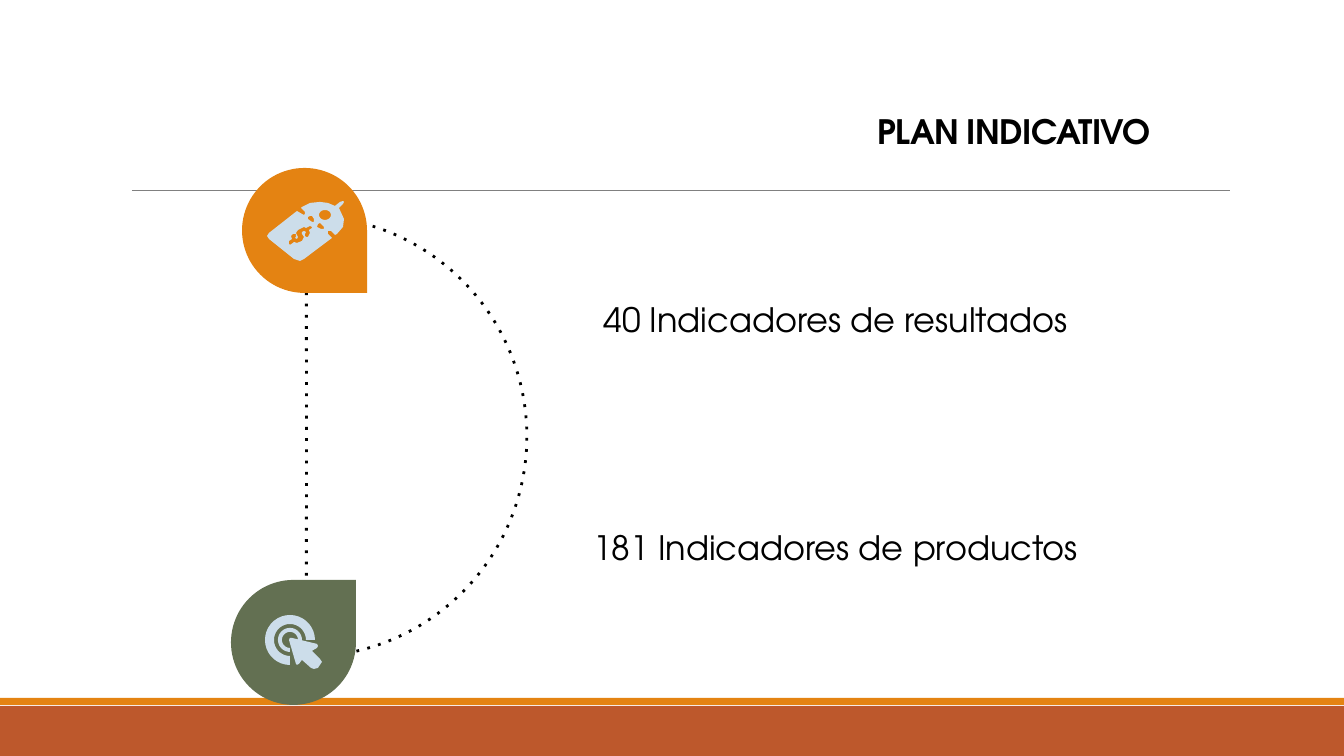
import math
import lxml.etree
import pptx
import pptx.dml.color
import pptx.enum.shapes
import pptx.enum.text
import pptx.oxml.ns
import pptx.util

PX = 914400 * 10 / 1344
BLACK = pptx.dml.color.RGBColor(0x00, 0x00, 0x00)
GRAY = pptx.dml.color.RGBColor(0x80, 0x80, 0x80)
RUST = pptx.dml.color.RGBColor(0xBD, 0x58, 0x2C)
ORANGE = pptx.dml.color.RGBColor(0xE4, 0x83, 0x12)
GREEN = pptx.dml.color.RGBColor(0x63, 0x70, 0x52)
PALE = pptx.dml.color.RGBColor(0xCC, 0xDD, 0xEA)
SHAPE = pptx.enum.shapes.MSO_SHAPE
qn = pptx.oxml.ns.qn

deck = pptx.Presentation()
deck.slide_width = round(1344 * PX)
deck.slide_height = round(756 * PX)
slide = deck.slides.add_slide(deck.slide_layouts[6])


def add_text(text, *, box, bold=False, spacing=None):
    label = slide.shapes.add_textbox(*[round(v * PX) for v in box])
    frame = label.text_frame
    frame.word_wrap = True
    frame.vertical_anchor = pptx.enum.text.MSO_ANCHOR.BOTTOM
    frame.margin_left = frame.margin_right = round(13 * PX)
    frame.margin_top = frame.margin_bottom = round(13 * PX)
    paragraph = frame.paragraphs[0]
    paragraph.alignment = pptx.enum.text.PP_ALIGN.CENTER
    run = paragraph.add_run()
    run.text = text
    run.font.name = "TeX Gyre Adventor"
    run.font.size = pptx.util.Pt(18)
    run.font.bold = bold
    run.font.color.rgb = BLACK
    if spacing is not None:
        run.font._element.set("spc", str(spacing))


def add_icon_part(shapes, contours):
    scaled = [[(x * PX, y * PX) for x, y in contour] for contour in contours]
    builder = shapes.build_freeform(*scaled[0][0], scale=1.0)
    builder.add_line_segments(scaled[0][1:], close=True)
    for contour in scaled[1:]:
        builder.move_to(*contour[0])
        builder.add_line_segments(contour[1:], close=True)
    part = builder.convert_to_shape()
    part.shadow.inherit = False
    part.fill.solid()
    part.fill.fore_color.rgb = PALE
    part.line.fill.background()


for top, height, color in [(706, 50, RUST), (698, 7, ORANGE)]:
    band = slide.shapes.add_shape(SHAPE.RECTANGLE, 0, round(top * PX), deck.slide_width, round(height * PX))
    band.shadow.inherit = False
    band.fill.solid()
    band.fill.fore_color.rgb = color
    band.line.fill.background()

title_rule = slide.shapes.add_connector(
    pptx.enum.shapes.MSO_CONNECTOR.STRAIGHT,
    round(132 * PX), round(191 * PX), round(1230 * PX), round(191 * PX))
title_rule.line.color.rgb = GRAY
title_rule.line.width = pptx.util.Pt(0.5)
lxml.etree.SubElement(title_rule._element.spPr, qn("a:effectLst"))

half_circle = slide.shapes.add_shape(SHAPE.PIE, *[round(v * PX) for v in (86, 216, 441, 441)])
half_circle.adjustments[0] = 162
half_circle.adjustments[1] = 54
half_circle.shadow.inherit = False
half_circle.fill.background()
half_circle.line.color.rgb = BLACK
half_circle.line.width = pptx.util.Pt(1.5)
lxml.etree.SubElement(half_circle.line._get_or_add_ln(), qn("a:prstDash"), val="dot")

for left, top, rotation, color in [(242, 168, 90, ORANGE), (231, 580, 0, GREEN)]:
    drop = slide.shapes.add_shape(SHAPE.TEAR, *[round(v * PX) for v in (left, top, 125, 125)])
    drop.rotation = rotation
    drop.shadow.inherit = False
    drop.fill.solid()
    drop.fill.fore_color.rgb = color
    drop.line.fill.background()

add_text("PLAN INDICATIVO", box=(684, 97, 660, 67), bold=True, spacing=-40)

tag_outline = [
    (320, 202), (310, 203), (302, 207), (301, 208), (305, 212), (305, 214), (304, 215), (302, 214),
    (297, 211), (269, 233), (267, 236), (269, 239), (294, 259), (300, 261), (304, 259), (332, 238),
    (328, 234), (328, 231), (329, 231), (331, 231), (335, 235), (337, 234), (343, 227), (344, 219),
    (339, 208), (343, 204), (344, 202), (343, 201), (340, 202), (335, 206), (328, 203)]
tag_hole = [
    (325 + 6 * math.cos(math.radians(a)), 215 + 5 * math.sin(math.radians(a)))
    for a in range(0, 360, 20)]
upper_dash = [(310, 216), (312, 216), (314, 219), (314, 222), (312, 222), (308, 219), (308, 217)]
lower_dash = [(320, 223), (321, 224), (324, 227), (324, 229), (321, 229), (317, 227), (318, 224)]
dollar = [
    (310, 226), (312, 227), (312, 228), (309, 230), (310, 233), (308, 237), (306, 237), (305, 236),
    (305, 234), (306, 232), (304, 231), (302, 232), (302, 234), (304, 237), (302, 241), (297, 243),
    (294, 242), (293, 243), (290, 245), (289, 244), (289, 241), (292, 239), (291, 236), (293, 234),
    (296, 234), (296, 237), (295, 238), (297, 239), (298, 237), (296, 233), (298, 230), (304, 227),
    (306, 228), (308, 227)]
add_icon_part(slide.shapes, [tag_outline, tag_hole, upper_dash, lower_dash, dollar])

target = slide.shapes.add_group_shape()
cursor = [
    (290, 638), (289, 640), (296, 664), (297, 665), (299, 664), (302, 660), (311, 668), (314, 669),
    (318, 668), (320, 665), (322, 662), (320, 659), (312, 651), (317, 648), (318, 646), (317, 644),
    (292, 638)]
add_icon_part(target.shapes, [cursor])
for outer, inner in [(12, 8), (25, 16)]:
    sweep = [(outer, a) for a in range(90, 361, 10)] + [(inner, a) for a in range(360, 89, -10)]
    ring = [
        (290 + r * math.cos(math.radians(a)), 640 + r * math.sin(math.radians(a)))
        for r, a in sweep]
    add_icon_part(target.shapes, [ring])

for text, top in [("40 Indicadores de resultados", 293), ("181 Indicadores de productos", 521)]:
    add_text(text, box=(538, top, 595, 59))

deck.save("out.pptx")
